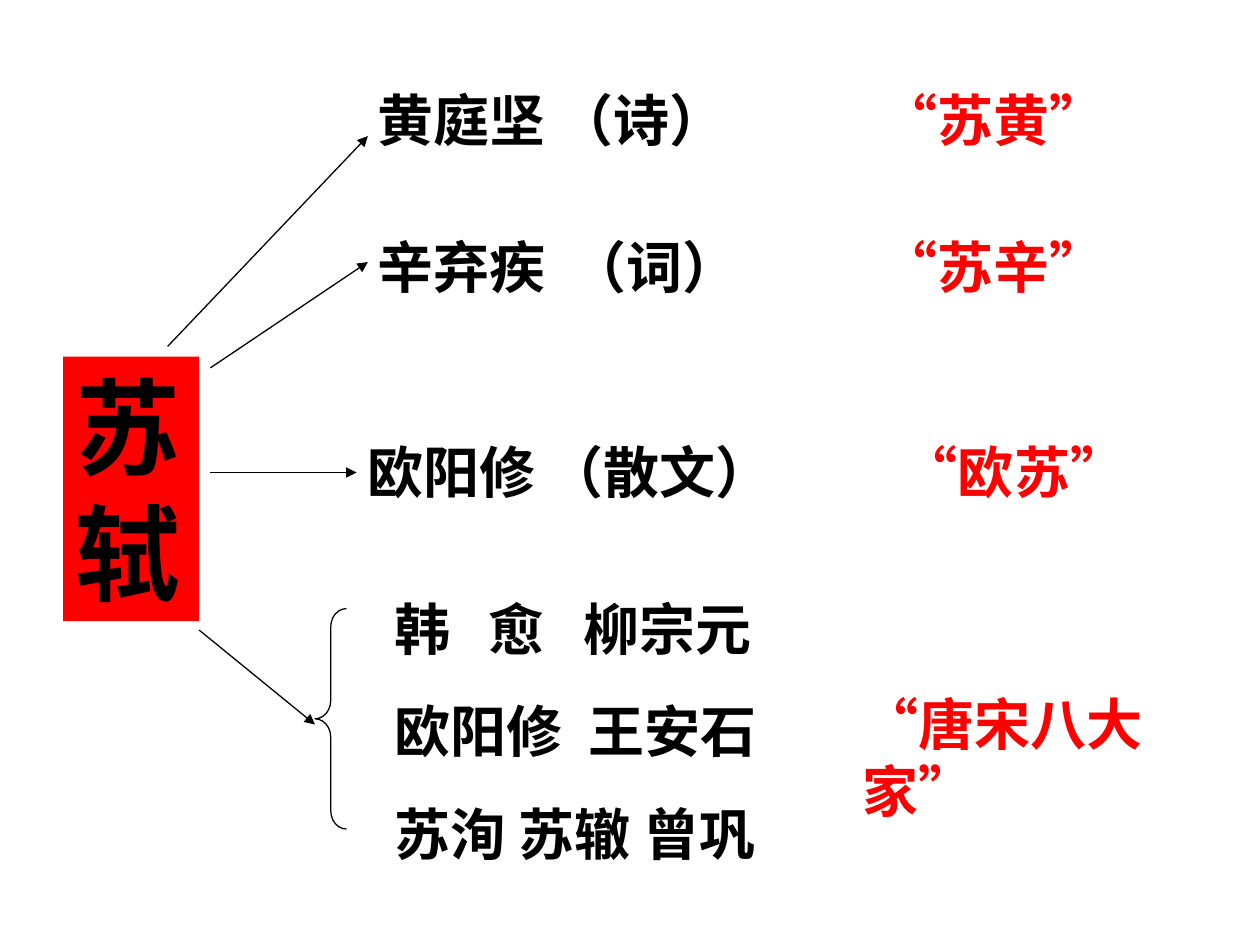
from lxml.etree import SubElement as Sub
from pptx import Presentation
from pptx.dml.color import RGBColor
from pptx.enum.shapes import MSO_CONNECTOR as Conn, MSO_SHAPE as Geo
from pptx.enum.text import MSO_ANCHOR as Anchor, PP_ALIGN as Align
from pptx.oxml.ns import qn
from pptx.util import Inches, Pt

BLACK, RED = "000000", "FF0000"
FONT = {"name": "Times New Roman", "bold": True}

# Content: box, tab stops from the text edge, paragraphs of (text, colour) runs
PEERS = [
    ((2.5, 0.63, 6.75, 0.64), (0.4, 1.83, 4.4), "黄庭坚", "（诗）", "“苏黄”"),
    ((2.5, 1.8, 7.42, 0.64), (0.4, 1.93, 4.4), "辛弃疾", "（词）", "“苏辛”"),
    ((2.42, 3.42, 7.42, 0.64), (0.4, 1.83, 4.64), "欧阳修", "（散文）", "“欧苏”"),
]
MASTERS = [
    ((0.2, 0.95, 1.7), "\t韩\t愈\t柳宗元"),
    ((0.2, 1.74), "\t欧阳修\t王安石"),
    ((0.2,), "\t苏洵 苏辙 曾巩"),
]
ARROWS = [
    (1.33, 2.75, 2.92, 1.08),
    (1.67, 2.92, 2.92, 2.08),
    (1.67, 3.75, 2.83, 3.75),
    (1.58, 5, 2.5, 5.75),
]

prs = Presentation()
prs.slide_width, prs.slide_height = Inches(10), Inches(7.5)
shapes = prs.slides.add_slide(prs.slide_layouts[6]).shapes


def color(code):
    return RGBColor.from_string(code)


def inch(vals):
    return [Inches(v) for v in vals]


def write(frame, paras, size=32):
    frame.word_wrap = True
    frame.vertical_anchor = Anchor.TOP
    for i, (tabs, runs) in enumerate(paras):
        para = frame.add_paragraph() if i else frame.paragraphs[0]
        para.alignment = Align.LEFT
        if tabs:
            stops = Sub(para._p.get_or_add_pPr(), qn("a:tabLst"))
            for pos in tabs:
                Sub(stops, qn("a:tab"), pos=str(Inches(pos)), algn="l")
        if i:
            para.space_before = Pt(20)
        for text, tone in runs:
            run = para.add_run()
            run.text = text
            for key, val in {**FONT, "size": Pt(size)}.items():
                setattr(run.font, key, val)
            run.font.color.rgb = color(tone)


def label(box, paras):
    write(shapes.add_textbox(*inch(box)).text_frame, paras)


def stroke(line):
    line.color.rgb = color(BLACK)
    line.width = Pt(0.75)


# Central name
hub = shapes.add_shape(Geo.RECTANGLE, *inch((0.5, 2.83, 1.08, 2.1)))
hub.shadow.inherit = False
hub.fill.solid()
hub.fill.fore_color.rgb = color(RED)
hub.line.fill.background()
write(hub.text_frame, [((), [("苏 轼", BLACK)])], 60)

# Peers with genre and pair name
for box, tabs, name, genre, pair in PEERS:
    label(box, [(tabs, [(f"\t{name}\t{genre}\t", BLACK), (pair, RED)])])

# Eight masters
label((2.83, 4.67, 5.83, 2.26),
      [(tabs, [(text, BLACK)]) for tabs, text in MASTERS])
label((6.75, 5.42, 3.08, 1.17), [((), [("“唐宋八大家”", RED)])])

# Brace
brace = shapes.add_shape(Geo.LEFT_BRACE, *inch((2.5, 4.83, 0.25, 1.75)))
brace.adjustments[0] = 0.58
brace.shadow.inherit = False
brace.fill.background()
stroke(brace.line)

# Arrows
for ends in ARROWS:
    arrow = shapes.add_connector(Conn.STRAIGHT, *inch(ends))
    stroke(arrow.line)
    Sub(arrow.line._get_or_add_ln(), qn("a:tailEnd"), type="triangle")
    Sub(arrow._element.spPr, qn("a:effectLst"))

prs.save("out.pptx")
